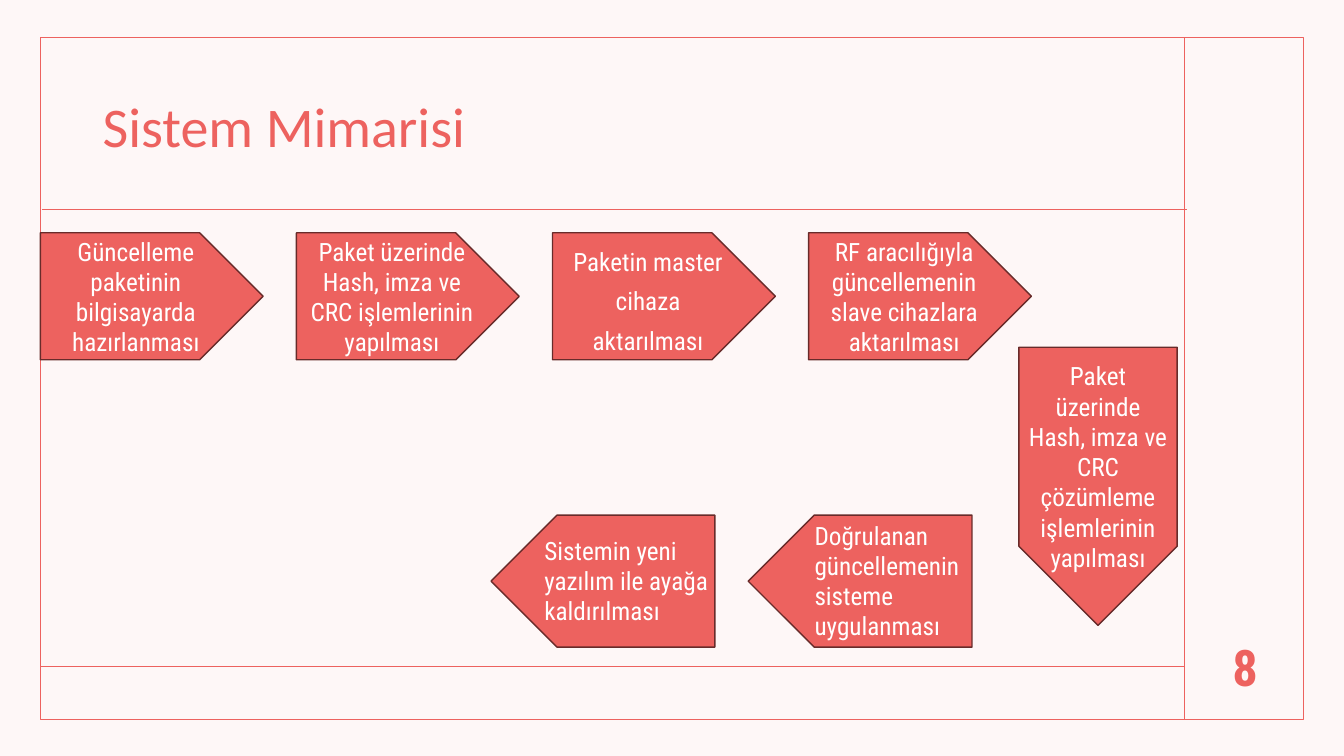
from pptx import Presentation
from pptx.dml.color import RGBColor
from pptx.enum.shapes import MSO_CONNECTOR, MSO_SHAPE
from pptx.enum.text import MSO_ANCHOR, PP_ALIGN
from pptx.oxml.ns import qn
from pptx.util import Inches, Pt
from lxml import etree

CORAL = RGBColor(0xED, 0x62, 0x5F)
MAROON = RGBColor(0x68, 0x2B, 0x2A)
BLUSH = RGBColor(0xFE, 0xF7, 0xF7)
WHITE = RGBColor(0xFF, 0xFF, 0xFF)
FONT = "Roboto Condensed"


class FlowSlide:
    def __init__(self, prs):
        self.s = prs.slides.add_slide(prs.slide_layouts[6])
        fill = self.s.background.fill
        fill.solid()
        fill.fore_color.rgb = BLUSH

    def label(self, sp, text, size=18, color=WHITE, font=FONT, bold=False,
              align=PP_ALIGN.CENTER, anchor=MSO_ANCHOR.MIDDLE, spacing=None, before=None):
        tf = sp.text_frame
        tf.word_wrap = True
        tf.vertical_anchor = anchor
        p = tf.paragraphs[0]
        p.alignment = align
        if spacing:
            p.line_spacing = spacing
        if before:
            p.space_before = Pt(before)
        r = p.add_run()
        r.text = text
        r.font.name, r.font.size, r.font.bold = font, Pt(size), bold
        r.font.color.rgb = color

    def shape(self, kind, box, line, fill=None):
        sp = self.s.shapes.add_shape(kind, *map(Inches, box))
        sp.shadow.inherit = False
        sp.line.color.rgb = line
        sp.line.width = Pt(1)
        if fill is None:
            sp.fill.background()
        else:
            sp.fill.solid()
            sp.fill.fore_color.rgb = fill
        return sp

    def arrow(self, box, rotation=0):
        sp = self.shape(MSO_SHAPE.PENTAGON, box, MAROON, CORAL)
        sp.rotation = rotation
        return sp

    def rule(self, x1, y1, x2, y2):
        c = self.s.shapes.add_connector(MSO_CONNECTOR.STRAIGHT, *map(Inches, (x1, y1, x2, y2)))
        c.line.color.rgb = CORAL
        c.line.width = Pt(1)
        etree.SubElement(c._element.spPr, qn("a:effectLst"))

    def text(self, box, text, **style):
        self.label(self.s.shapes.add_textbox(*map(Inches, box)), text, **style)


def main():
    prs = Presentation()
    prs.slide_width, prs.slide_height = Inches(13.33), Inches(7.5)
    slide = FlowSlide(prs)

    # Frame and rules
    slide.shape(MSO_SHAPE.RECTANGLE, (0.4, 0.37, 12.53, 6.77), CORAL)
    slide.rule(11.75, 0.37, 11.75, 7.13)
    slide.rule(0.41, 6.61, 11.75, 6.61)
    slide.rule(0.42, 2.08, 11.77, 2.08)

    # Title and page number
    slide.text((0.92, 0.6, 10.42, 1.36), "Sistem Mimarisi", size=40, color=CORAL,
               font="Calibri", align=PP_ALIGN.LEFT, spacing=0.9)
    slide.text((11.83, 6.2, 1.04, 0.83), "8", size=36, color=CORAL, bold=True)

    # Top row, left to right
    top_steps = [
        ("Güncelleme paketinin bilgisayarda hazırlanması", {}),
        ("Paket üzerinde Hash, imza ve CRC işlemlerinin yapılması", {}),
        ("Paketin master cihaza aktarılması", {"spacing": 1.3, "before": 10}),
        ("RF aracılığıyla güncellemenin slave cihazlara aktarılması", {}),
    ]
    for i, (step, style) in enumerate(top_steps):
        slide.label(slide.arrow((0.4 + 2.54 * i, 2.31, 2.21, 1.26)), step, **style)

    # Downward step, with upright text
    down = slide.arrow((9.51, 4.04, 2.76, 1.57), rotation=90)
    slide.label(down, "Paket üzerinde Hash, imza ve CRC çözümleme işlemlerinin yapılması")
    down.text_frame._txBody.bodyPr.set("vert", "vert270")

    # Bottom row, right to left, with text boxes over the turned arrows
    bottom_steps = [
        (7.42, (7.98, 5.11, 1.85, 1.31), "Doğrulanan güncellemenin sisteme uygulanması"),
        (4.87, (5.3, 5.26, 1.85, 1.01), "Sistemin yeni yazılım ile ayağa kaldırılması"),
    ]
    for left, text_box, step in bottom_steps:
        slide.arrow((left, 5.11, 2.22, 1.31), rotation=180)
        slide.text(text_box, step, align=PP_ALIGN.LEFT, anchor=MSO_ANCHOR.TOP)

    prs.save("out.pptx")


if __name__ == "__main__":
    main()
